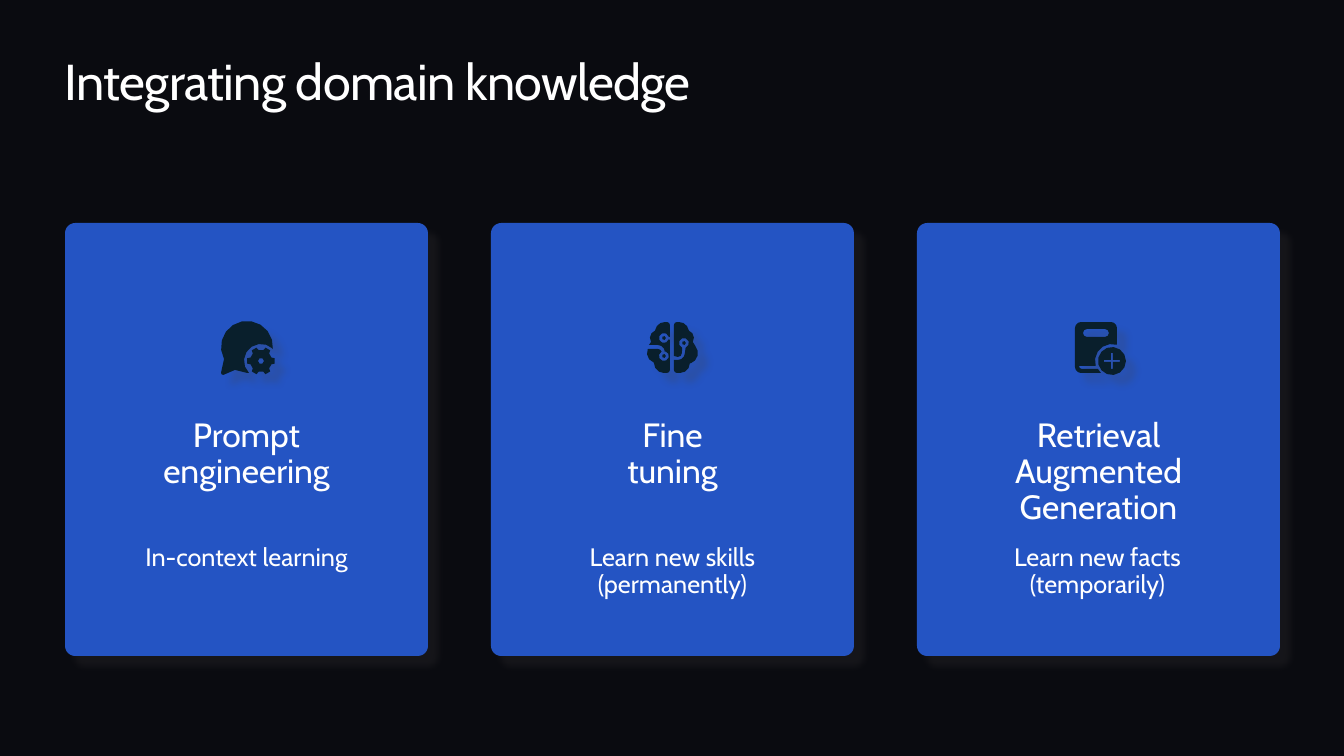
from math import ceil, cos, radians, sin, sqrt

from lxml import etree
from pptx import Presentation
from pptx.dml.color import RGBColor
from pptx.enum.shapes import MSO_SHAPE
from pptx.enum.text import MSO_AUTO_SIZE, PP_ALIGN
from pptx.oxml.ns import qn
from pptx.util import Pt

PX = 914400 / 100.8
ROUNDED = MSO_SHAPE.ROUNDED_RECTANGLE
LEFT, CENTER = PP_ALIGN.LEFT, PP_ALIGN.CENTER
GROW = MSO_AUTO_SIZE.SHAPE_TO_FIT_TEXT
NIGHT = RGBColor(0x0A, 0x0B, 0x10)
BLUE = RGBColor(0x24, 0x54, 0xC3)
INK = RGBColor(0x09, 0x1F, 0x2C)
WHITE = RGBColor(0xFF, 0xFF, 0xFF)
SHADOW = RGBColor(0x45, 0x41, 0x42)

deck = Presentation()
deck.slide_width, deck.slide_height = round(1344 * PX), round(756 * PX)
page = deck.slides.add_slide(deck.slide_layouts[6])
page.background.fill.solid()
page.background.fill.fore_color.rgb = NIGHT


def paint(shape, color):
    """Flat fill without outline, with a soft shadow to the lower right."""
    shape.fill.solid()
    shape.fill.fore_color.rgb = color
    shape.line.fill.background()
    shape.shadow.inherit = False
    effects = shape._element.spPr.find(qn("a:effectLst"))
    shadow = etree.SubElement(effects, qn("a:outerShdw"), blurRad=str(Pt(5)),
                              dist=str(Pt(10)), dir=str(45 * 60000),
                              algn="tl", rotWithShape="0")
    tone = etree.SubElement(shadow, qn("a:srgbClr"), val=str(SHADOW))
    etree.SubElement(tone, qn("a:alpha"), val="20000")


def write(text, left, top, width, height, size, align, spacing):
    """Unpadded text box; returns its text frame."""
    box = page.shapes.add_textbox(*(round(v * PX) for v in (left, top, width, height)))
    frame = box.text_frame
    frame_format = {"word_wrap": True, "auto_size": GROW, "margin_left": 0,
                    "margin_right": 0, "margin_top": 0, "margin_bottom": 0,
                    "text": text}
    for name, value in frame_format.items():
        setattr(frame, name, value)
    for para in frame.paragraphs:
        para.alignment, para.line_spacing = align, spacing
        for span in para.runs:
            for name, value in {"name": "Cabin", "size": Pt(size)}.items():
                setattr(span.font, name, value)
            span.font.color.rgb = WHITE
    return frame


# Title
title = write("Integrating domain knowledge", 65, 50, 1215, 61, 36, LEFT, 1.0)
title.paragraphs[0].runs[0].font._element.set("spc", "-50")

# Cards
CARD_WIDTH = 363
card_lefts = [65 + column * 426 for column in range(3)]
for left in card_lefts:
    card = page.shapes.add_shape(
        ROUNDED, *(round(v * PX) for v in (left, 223, CARD_WIDTH, 433)))
    card.adjustments[0] = 0.028
    paint(card, BLUE)

# Card texts: \v breaks a line, \n starts a paragraph
headings = ["Prompt\vengineering", "Fine\vtuning", "Retrieval\vAugmented\nGeneration"]
for left, heading, height in zip(card_lefts, headings, (73, 73, 110)):
    write(heading, left, 418, CARD_WIDTH, height, 24, CENTER, 0.9)
details = ["In-context learning", "Learn new skills\n(permanently)",
           "Learn new facts\n(temporarily)"]
for left, detail, height in zip((65, 491, 916), details, (27, 55, 55)):
    write(detail, left, 545, CARD_WIDTH, height, 18, CENTER, 0.9)

# Icon contours: (x, y) is a corner, (x, y, radius, from angle, to angle) an arc.
# Inner contours cut holes.
gear = []
for tooth in range(0, 360, 60):
    for radius, offset in ((11, -18), (14, -11), (14, 11), (11, 18)):
        angle = radians(tooth + offset)
        gear.append((261 + radius * cos(angle), 361 + radius * sin(angle)))
chat_gear = [
    [(247, 347, 26, 152, 365), (261, 361, 17, -47, -225), (247, 373),
     (235, 370), (223, 373, 2, 80, 190)],
    gear,
    [(261, 361, 3, 0, 360)],
]

brain = [
    # Left half, cut by two circuit nodes
    [(667, 325, 3, 270, 360), (670, 337), (664, 338, 5, -15, -345), (670, 340),
     (667, 370, 3, 0, 90), (664, 363, 10, 90, 180), (657, 353, 10, 110, 204),
     (658, 353, 4, 270, 340), (664, 356, 5, 240, -70), (658, 352, 7, 0, -90),
     (649, 345), (658, 338, 8, 150, 250), (665, 332, 10, 190, 270)],
    # Right half, cut by one circuit node
    [(674, 360), (678, 353, 7, 90, 0), (684, 343, 5, 70, -250),
     (678, 353, 4, 0, 90), (674, 356), (677, 325, 3, 180, 270),
     (679, 332, 10, 270, 350), (686, 338, 8, 290, 390),
     (687, 353, 11, -40, 70), (680, 363, 10, 0, 90), (677, 370, 3, 90, 180)],
    [(664, 338, 2, 0, 360)],
    [(664, 356, 2, 0, 360)],
    [(684, 343, 2, 0, 360)],
]

plus_x, plus_y, arm, half = 1112, 361, 8, 1
plus = []
for turn in range(0, 360, 90):
    c, s = cos(radians(turn)), sin(radians(turn))
    for x, y in ((arm, -half), (arm, half), (half, half)):
        plus.append((plus_x + x * c - y * s, plus_y + x * s + y * c))
book_plus = [
    [(1081, 328, 6, 180, 270), (1111, 328, 6, 270, 360),
     (1112, 361, 17, -73, -197), (1079, 366), (1082, 366, 3, 180, 90),
     (1098, 369), (1101, 373), (1081, 367, 6, 90, 180)],
    [(1087, 333, 4, 90, 270), (1105, 333, 4, 270, 450)],
    [(plus_x, plus_y, 14, 0, 360)],
    plus,
]

# Icons: wide and long arcs get more points
for contours in (chat_gear, book_plus, brain):
    outlines = []
    for contour in contours:
        outline = []
        for x, y, *arc in contour:
            radius, start, end = arc or (0, 0, 0)
            steps = ceil(abs(end - start) * sqrt(radius) / 110)
            for step in range(steps + 1):
                angle = radians(start + (end - start) * step / max(steps, 1))
                outline.append(((x + radius * cos(angle)) * PX,
                                (y + radius * sin(angle)) * PX))
        outlines.append(outline)
    builder = page.shapes.build_freeform(*outlines[0][0], scale=1.0)
    builder.add_line_segments(outlines[0][1:], close=True)
    for outline in outlines[1:]:
        builder.move_to(*outline[0])
        builder.add_line_segments(outline[1:], close=True)
    paint(builder.convert_to_shape(), INK)

deck.save("out.pptx")
